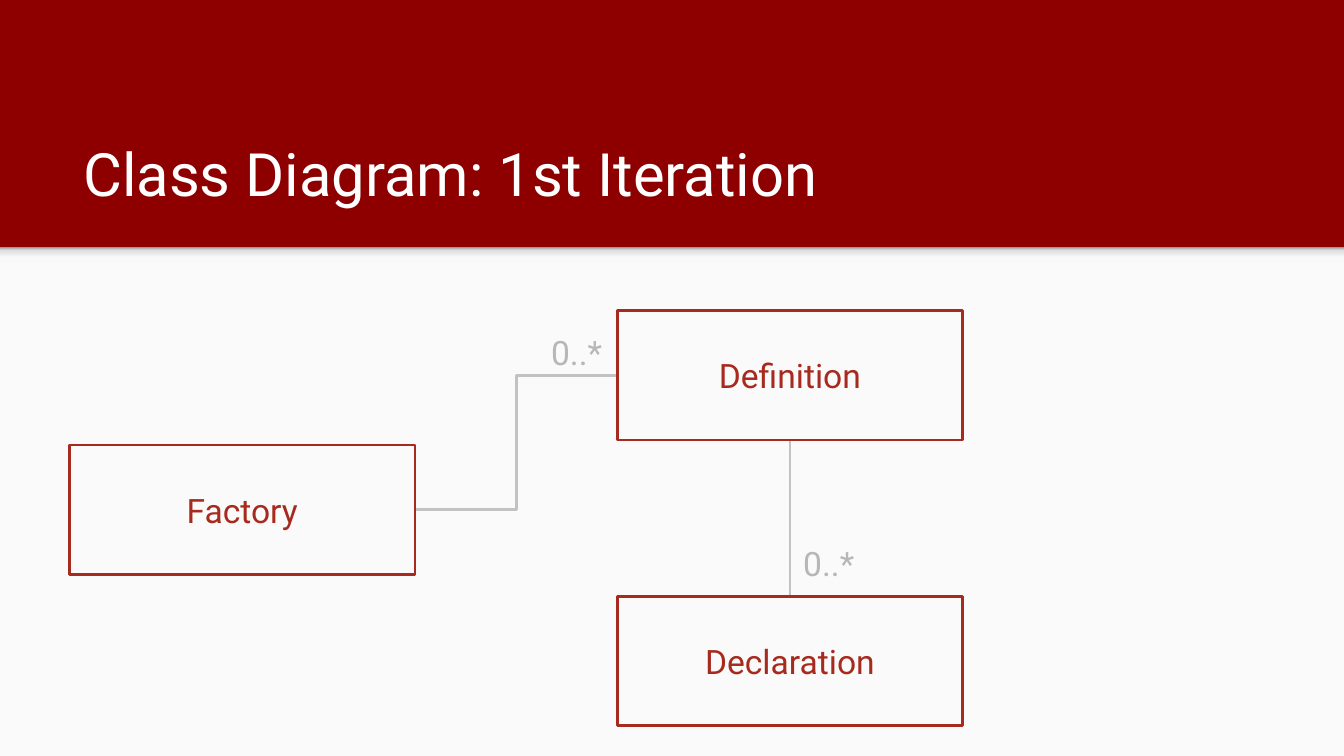
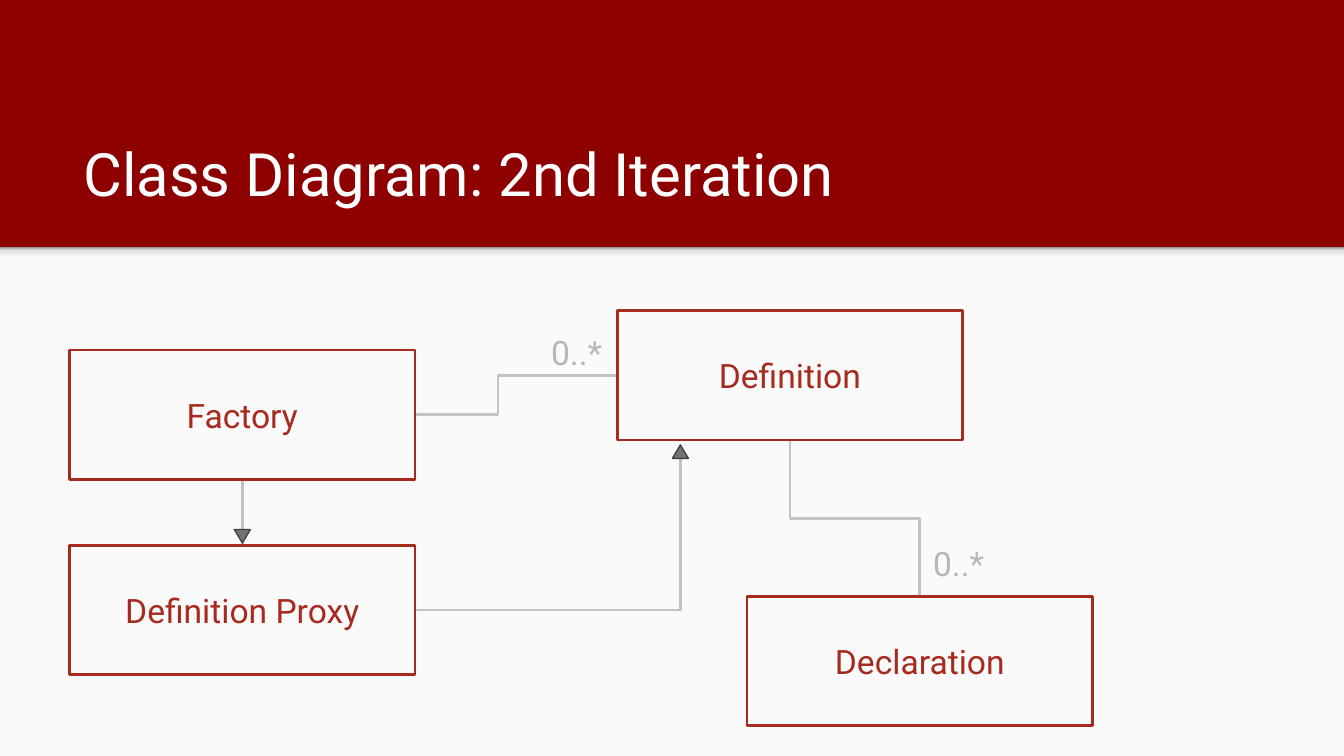
"""Build two class diagram slides, one for each design iteration."""
from dataclasses import dataclass

from lxml import etree
from pptx import Presentation
from pptx.dml.color import RGBColor
from pptx.enum.shapes import MSO_CONNECTOR, MSO_SHAPE
from pptx.enum.text import MSO_ANCHOR, MSO_AUTO_SIZE, PP_ALIGN
from pptx.oxml.ns import qn
from pptx.util import Pt

RECT = MSO_SHAPE.RECTANGLE
TRIANGLE = MSO_SHAPE.FLOWCHART_EXTRACT
ELBOW = MSO_CONNECTOR.ELBOW
TOP, MIDDLE, BOTTOM = MSO_ANCHOR.TOP, MSO_ANCHOR.MIDDLE, MSO_ANCHOR.BOTTOM
LEFT, CENTER = PP_ALIGN.LEFT, PP_ALIGN.CENTER
NO_AUTOFIT = MSO_AUTO_SIZE.NONE

FONT = "Roboto"
MAROON, PAPER, WHITE = "8E0000", "FAFAFA", "FFFFFF"
RED, LINK_GRAY, LABEL_GRAY = "A72A1E", "C2C2C2", "B7B7B7"
ARROW_FILL, ARROW_LINE = "737373", "424242"
SHADE_STOPS = ((0, "F9F9F9"), (36, "F9F9F9"), (80, "DEDEDE"), (100, "999999"))

SLIDE_W, SLIDE_H = 720, 405
BAND_H, SHADE_H = 132.4, 8.7
BOX_W, BOX_H = 185.2, 69.3
LABEL_W = 42.5
ARROW_W, ARROW_H = 8.6, 7.2
INSET = 7.2

Point = tuple[float, float]


@dataclass(frozen=True)
class ClassBox:
    """A class of the diagram, with the points where links attach."""
    name: str
    x: float
    y: float

    @property
    def top(self) -> Point:
        return self.x + BOX_W / 2, self.y

    @property
    def bottom(self) -> Point:
        return self.x + BOX_W / 2, self.y + BOX_H

    @property
    def left(self) -> Point:
        return self.x, self.y + BOX_H / 2

    @property
    def right(self) -> Point:
        return self.x + BOX_W, self.y + BOX_H / 2


@dataclass(frozen=True)
class Link:
    """An elbow line that runs up or to the left from start to end."""
    start: Point
    end: Point
    vertical: bool = False
    bend: float = 0.5


@dataclass(frozen=True)
class Arrow:
    """A triangular arrowhead, placed by its top centre."""
    x: float
    y: float
    rotation: float = 0


@dataclass(frozen=True)
class Diagram:
    """Everything that one slide shows."""
    title: str
    definition: ClassBox
    declaration: ClassBox
    factory: ClassBox
    others: tuple[ClassBox, ...] = ()
    links: tuple[Link, ...] = ()
    arrows: tuple[Arrow, ...] = ()
    factory_bend: float = 0.5


def rgb(color: str) -> RGBColor:
    return RGBColor.from_string(color)


def write(shape, text: str, *, size: float = 18, color: str = RED,
          align=LEFT, anchor=TOP) -> None:
    """Put one formatted paragraph in a shape."""
    tf = shape.text_frame
    tf.word_wrap = True
    tf.auto_size = NO_AUTOFIT
    tf.vertical_anchor = anchor
    tf.margin_left = tf.margin_right = Pt(INSET)
    tf.margin_top = tf.margin_bottom = Pt(INSET)
    p = tf.paragraphs[0]
    p.alignment = align
    r = p.add_run()
    r.text = text
    r.font.name = FONT
    r.font.size = Pt(size)
    r.font.color.rgb = rgb(color)


def add_preset(s, kind, x: float, y: float, w: float, h: float, *,
               fill: str = "", line: str = "", weight: float = 1.5):
    sp = s.shapes.add_shape(kind, Pt(x), Pt(y), Pt(w), Pt(h))
    sp.shadow.inherit = False
    if fill:
        sp.fill.solid()
        sp.fill.fore_color.rgb = rgb(fill)
    else:
        sp.fill.background()
    if line:
        sp.line.color.rgb = rgb(line)
        sp.line.width = Pt(weight)
    else:
        sp.line.fill.background()
    return sp


def add_panel(s) -> None:
    """Draw the light panel and the shade under the title band."""
    add_preset(s, RECT, 0, BAND_H, SLIDE_W, SLIDE_H - BAND_H, fill=PAPER)
    shade = add_preset(s, RECT, 0, BAND_H, SLIDE_W, SHADE_H)
    shade.fill.gradient()
    shade.fill.gradient_angle = 90
    stops = shade._element.spPr.find(qn("a:gradFill")).find(qn("a:gsLst"))
    for stop in list(stops):
        stops.remove(stop)
    for percent, color in SHADE_STOPS:
        stop = etree.SubElement(stops, qn("a:gs"), pos=str(percent * 1000))
        etree.SubElement(stop, qn("a:srgbClr"), val=color)


def add_title(s, text: str) -> None:
    sp = s.shapes.title
    sp.left, sp.top, sp.width, sp.height = Pt(37.4), Pt(58.3), Pt(647.3), Pt(60.5)
    write(sp, text, size=32, color=WHITE, anchor=BOTTOM)


def add_link(s, link: Link) -> None:
    """Draw an elbow; a vertical one is a horizontal one turned by 90 degrees."""
    (x1, y1), (x2, y2) = link.start, link.end
    if link.vertical:
        cx, cy = (x1 + x2) / 2, (y1 + y2) / 2
        half_w, half_h = abs(y2 - y1) / 2, abs(x2 - x1) / 2
        x1, y1, x2, y2 = cx + half_w, cy - half_h, cx - half_w, cy + half_h
    c = s.shapes.add_connector(ELBOW, Pt(x1), Pt(y1), Pt(x2), Pt(y2))
    c.line.color.rgb = rgb(LINK_GRAY)
    c.line.width = Pt(1.5)
    props = c._element.spPr
    if link.vertical:
        props.find(qn("a:xfrm")).set("rot", "5400000")
    guides = props.find(qn("a:prstGeom")).find(qn("a:avLst"))
    etree.SubElement(guides, qn("a:gd"), name="adj1",
                     fmla=f"val {round(link.bend * 100000)}")
    etree.SubElement(props, qn("a:effectLst"))


def add_class(s, box: ClassBox) -> None:
    sp = add_preset(s, RECT, box.x, box.y, BOX_W, BOX_H, line=RED)
    write(sp, box.name, align=CENTER, anchor=MIDDLE)


def add_multiplicity(s, x: float, y: float, h: float) -> None:
    sp = s.shapes.add_textbox(Pt(x), Pt(y), Pt(LABEL_W), Pt(h))
    write(sp, "0..*", color=LABEL_GRAY)


def add_arrow(s, arrow: Arrow) -> None:
    sp = add_preset(s, TRIANGLE, arrow.x - ARROW_W / 2, arrow.y, ARROW_W, ARROW_H,
                    fill=ARROW_FILL, line=ARROW_LINE, weight=0.75)
    sp.rotation = arrow.rotation


def add_diagram(prs, d: Diagram) -> None:
    s = prs.slides.add_slide(prs.slide_layouts[5])
    add_panel(s)
    add_title(s, d.title)
    shared = (Link(d.declaration.top, d.definition.bottom, vertical=True),
              Link(d.definition.left, d.factory.right, bend=d.factory_bend))
    for link in shared + d.links:
        add_link(s, link)
    for box in (d.definition, d.declaration, d.factory) + d.others:
        add_class(s, box)
    x, y = d.declaration.top
    add_multiplicity(s, x, y - 36, 36)
    x, y = d.definition.left
    add_multiplicity(s, x - LABEL_W, y - 30.6, 31)
    for arrow in d.arrows:
        add_arrow(s, arrow)


def main() -> None:
    prs = Presentation()
    prs.slide_width, prs.slide_height = Pt(SLIDE_W), Pt(SLIDE_H)
    background = prs.slide_master.background.fill
    background.solid()
    background.fore_color.rgb = rgb(MAROON)

    definition = ClassBox("Definition", 330.6, 166.4)
    add_diagram(prs, Diagram(
        "Class Diagram: 1st Iteration", definition,
        declaration=ClassBox("Declaration", 330.6, 319.6),
        factory=ClassBox("Factory", 37.2, 238.4)))

    factory = ClassBox("Factory", 37.2, 187.5)
    proxy = ClassBox("Definition Proxy", 37.2, 292.2)
    proxy_tip = (364.5, 238.4)
    add_diagram(prs, Diagram(
        "Class Diagram: 2nd Iteration", definition,
        declaration=ClassBox("Declaration", 400.2, 319.6),
        factory=factory, others=(proxy,), factory_bend=0.59,
        links=(Link(proxy.top, factory.bottom, vertical=True),
               Link(proxy_tip, proxy.right, bend=0)),
        arrows=(Arrow(*proxy_tip),
                Arrow(proxy.top[0], proxy.y - 8.5, rotation=180))))
    prs.save("out.pptx")


if __name__ == "__main__":
    main()
